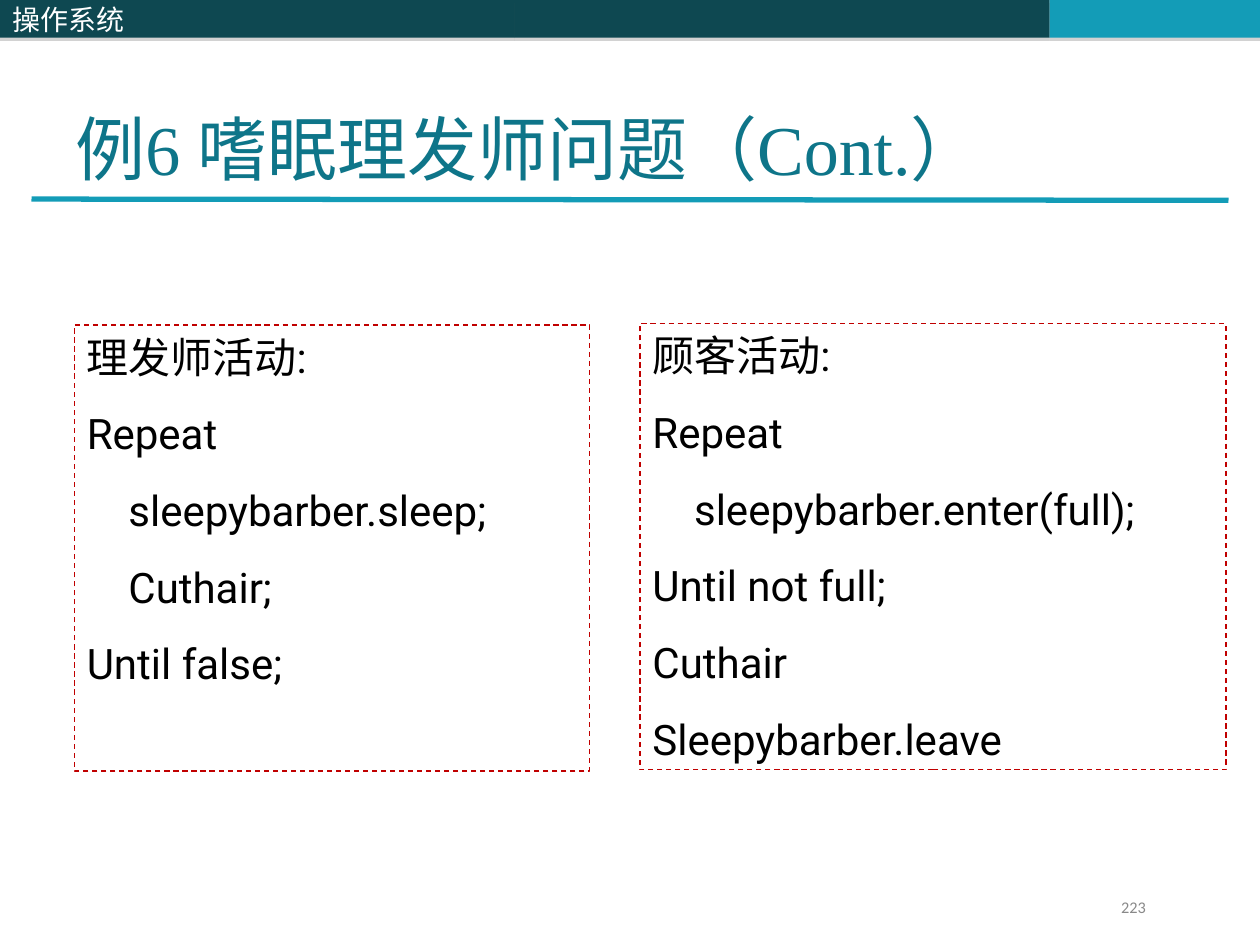
"""Build the sleeping barber slide with barber and customer pseudocode."""
from lxml import etree
from pptx import Presentation
from pptx.dml.color import RGBColor
from pptx.enum import dml, shapes, text
from pptx.oxml import parse_xml
from pptx.oxml.ns import nsdecls, qn
from pptx.util import Inches, Pt

DARK = RGBColor(0x0E, 0x48, 0x51)
TEAL = RGBColor(0x13, 0x9C, 0xB7)
TITLE = RGBColor(0x0E, 0x75, 0x89)
RED = RGBColor(0xC0, 0x00, 0x00)
GRAY = RGBColor(0x89, 0x89, 0x89)
WHITE = RGBColor(0xFF, 0xFF, 0xFF)
BLACK = RGBColor(0x00, 0x00, 0x00)
CJK = "Noto Sans CJK SC"
SHADOW = (
    f'<a:effectLst {nsdecls("a")}><a:outerShdw dist="22860" dir="5400000" rotWithShape="0">'
    '<a:srgbClr val="808080"><a:alpha val="35000"/></a:srgbClr></a:outerShdw></a:effectLst>'
)


def write(sp, lines, size, color, font, anchor=text.MSO_ANCHOR.TOP, before=0, spacing=None):
    tf = sp.text_frame
    tf.word_wrap = True
    tf.vertical_anchor = anchor
    for i, line in enumerate(lines):
        p = tf.paragraphs[0] if i == 0 else tf.add_paragraph()
        p.alignment = text.PP_ALIGN.LEFT
        p.space_before = Pt(before if i else 0)
        if spacing:
            p.line_spacing = spacing
        r = p.add_run()
        r.text = line
        r.font.size = Pt(size)
        r.font.color.rgb = color
        r.font.name = font
        etree.SubElement(r.font._element, qn("a:ea")).set("typeface", CJK)


prs = Presentation()
prs.slide_width, prs.slide_height = Inches(10), Inches(7.5)
s = prs.slides.add_slide(prs.slide_layouts[6])

bars = []
for left, width, color in [(4.08, 4.25, DARK), (8.33, 1.67, TEAL), (0, 4.08, DARK)]:
    sp = s.shapes.add_shape(
        shapes.MSO_SHAPE.RECTANGLE, Inches(left), 0, Inches(width), Inches(0.3))
    sp.fill.solid()
    sp.fill.fore_color.rgb = color
    sp.line.fill.background()
    sp._element.spPr.append(parse_xml(SHADOW))
    bars.append(sp)
write(bars[-1], ["操作系统"], 16, WHITE, CJK, anchor=text.MSO_ANCHOR.MIDDLE)

rule = s.shapes.add_connector(
    shapes.MSO_CONNECTOR.STRAIGHT, Inches(0.25), Inches(1.58), Inches(9.75), Inches(1.59))
rule.line.color.rgb = TEAL
rule.line.width = Pt(3)
etree.SubElement(rule._element.spPr, qn("a:effectLst"))

title = s.shapes.add_textbox(Inches(0.5), Inches(0.3), Inches(9), Inches(1.25))
write(title, ["例6 嗜眠理发师问题（Cont.）"], 40, TITLE, "Times New Roman",
      anchor=text.MSO_ANCHOR.BOTTOM)

activities = [
    (0.59, 2.58, 4.09, ["理发师活动:", "Repeat", "    sleepybarber.sleep;",
                        "    Cuthair;", "Until false;"]),
    (5.08, 2.57, 4.65, ["顾客活动:", "Repeat", "    sleepybarber.enter(full);",
                        "Until not full;", "Cuthair", "Sleepybarber.leave"]),
]
for left, top, width, lines in activities:
    sp = s.shapes.add_shape(
        shapes.MSO_SHAPE.RECTANGLE, Inches(left), Inches(top), Inches(width), Inches(3.54))
    sp.shadow.inherit = False
    sp.fill.background()
    sp.line.color.rgb = RED
    sp.line.width = Pt(0.75)
    sp.line.dash_style = dml.MSO_LINE.DASH
    write(sp, lines, 24, BLACK, "Roboto", before=15)

number = s.shapes.add_textbox(Inches(8.8), Inches(7.1), Inches(1.03), Inches(0.27))
write(number, ["223"], 9.3, GRAY, "Calibri", spacing=0.8)

prs.save("out.pptx")
